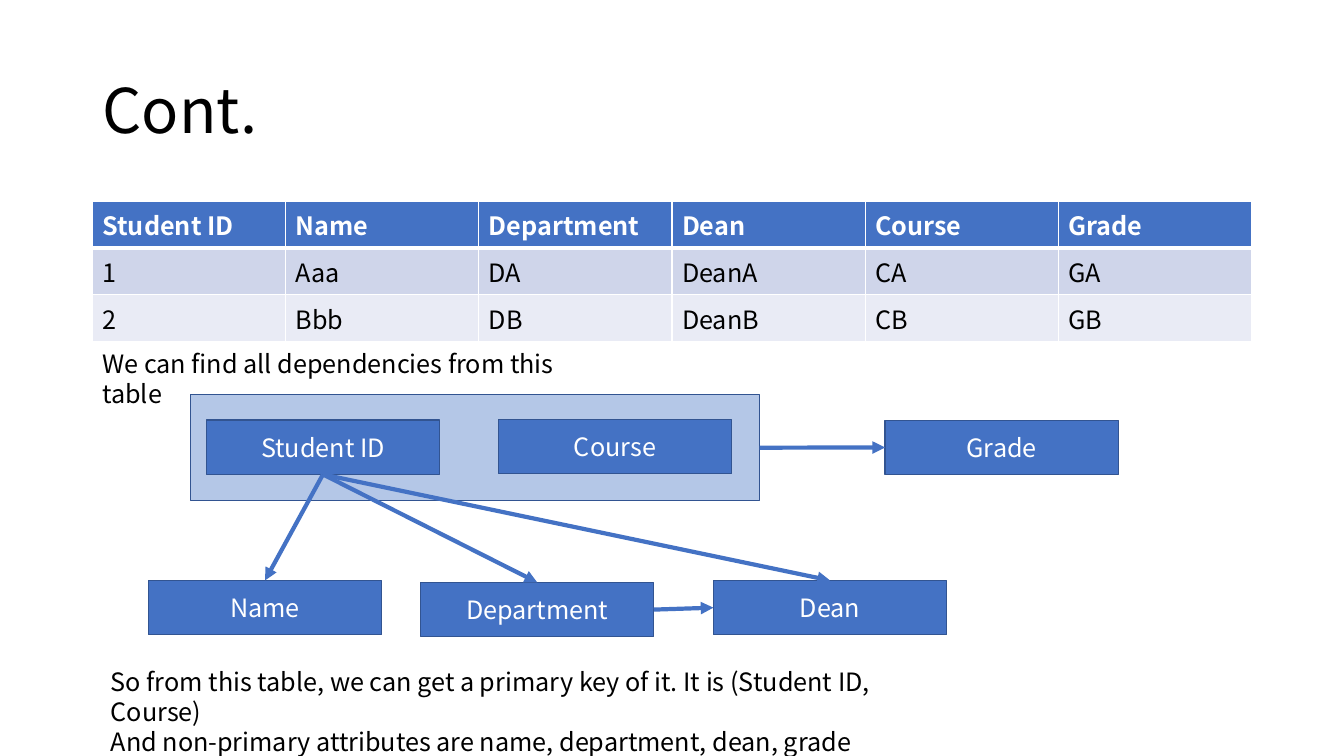
"""Builds a slide on the functional dependencies found in a student table."""
import pptx
import pptx.util
import pptx.dml.color
import pptx.enum.shapes
import pptx.enum.text
import pptx.oxml

Pt = pptx.util.Pt
FONT = "Noto Sans CJK SC"
BLUE, OUTLINE, WHITE, BLACK = "4472C4", "325491", "FFFFFF", "000000"
NAMESPACE = 'xmlns:a="http://schemas.openxmlformats.org/drawingml/2006/main"'


def color(value):
    return pptx.dml.color.RGBColor.from_string(value)


def add_run(paragraph, text, ink, size=18, bold=False):
    run = paragraph.add_run()
    run.text = text
    run.font.name = FONT
    run.font.size = Pt(size)
    run.font.bold = bold
    run.font.color.rgb = color(ink)


prs = pptx.Presentation()
prs.slide_width, prs.slide_height = Pt(960), Pt(540)
slide = prs.slides.add_slide(prs.slide_layouts[5])

title = slide.shapes.title
title.left, title.top, title.width, title.height = Pt(66), Pt(28.75), Pt(828), Pt(104.4)
title.text_frame.vertical_anchor = pptx.enum.text.MSO_ANCHOR.MIDDLE
heading = title.text_frame.paragraphs[0]
heading.alignment = pptx.enum.text.PP_ALIGN.LEFT
heading.line_spacing = 0.9
add_run(heading, "Cont.", BLACK, 44)

records = [
    ["Student ID", "Name", "Department", "Dean", "Course", "Grade"],
    ["1", "Aaa", "DA", "DeanA", "CA", "GA"],
    ["2", "Bbb", "DB", "DeanB", "CB", "GB"],
]
row_fills = [BLUE, "CFD5EA", "E9EBF5"]
students = slide.shapes.add_table(3, 6, Pt(66), Pt(144), Pt(828), Pt(87.6)).table
for row, record in enumerate(records):
    students.rows[row].height = Pt(29.2)
    for column, value in enumerate(record):
        cell = students.cell(row, column)
        header = row == 0
        add_run(cell.text_frame.paragraphs[0], value, WHITE if header else BLACK, bold=header)
        borders = {"lnL": 1, "lnR": 1, "lnT": 3 if row == 1 else 1, "lnB": 3 if header else 1}
        for edge, width in borders.items():
            cell._tc.get_or_add_tcPr().append(pptx.oxml.parse_xml(
                f'<a:{edge} {NAMESPACE} w="{Pt(width)}"><a:solidFill>'
                f'<a:srgbClr val="{WHITE}"/></a:solidFill></a:{edge}>'))
        cell.fill.solid()
        cell.fill.fore_color.rgb = color(row_fills[row])

attributes = [
    ("", 136, 282, 406.6, 75.6, "B4C7E7"),
    ("Student ID", 147.4, 300, 166.6, 38.9, BLUE),
    ("Course", 356, 299.6, 166.6, 38.9, BLUE),
    ("Department", 300.4, 416, 166.6, 38.9, BLUE),
    ("Name", 106, 414.6, 166.6, 38.9, BLUE),
    ("Dean", 509.6, 414.6, 166.6, 38.9, BLUE),
    ("Grade", 632.2, 300.2, 166.6, 38.9, BLUE),
]
boxes = {}
for label, left, top, width, height, fill in attributes:
    box = slide.shapes.add_shape(pptx.enum.shapes.MSO_SHAPE.RECTANGLE,
                                 Pt(left), Pt(top), Pt(width), Pt(height))
    box.shadow.inherit = False
    box.fill.solid()
    box.fill.fore_color.rgb = color(fill)
    box.line.color.rgb = color(OUTLINE)
    box.line.width = Pt(1)
    if label:
        box.text_frame.vertical_anchor = pptx.enum.text.MSO_ANCHOR.MIDDLE
        name = box.text_frame.paragraphs[0]
        name.alignment = pptx.enum.text.PP_ALIGN.CENTER
        add_run(name, label, WHITE)
    boxes[label] = box

TOP, LEFT, BOTTOM, RIGHT = range(4)
dependencies = [
    ("", RIGHT, "Grade", LEFT),
    ("Student ID", BOTTOM, "Name", TOP),
    ("Student ID", BOTTOM, "Department", TOP),
    ("Department", RIGHT, "Dean", LEFT),
    ("Student ID", BOTTOM, "Dean", TOP),
]
for source, source_side, target, target_side in dependencies:
    arrow = slide.shapes.add_connector(pptx.enum.shapes.MSO_CONNECTOR.STRAIGHT, 0, 0, 0, 0)
    arrow.begin_connect(boxes[source], source_side)
    arrow.end_connect(boxes[target], target_side)
    arrow.line.color.rgb = color(BLUE)
    arrow.line.width = Pt(3)
    arrow.line._get_or_add_ln().append(pptx.oxml.parse_xml(f'<a:tailEnd {NAMESPACE} type="triangle"/>'))
    arrow._element.spPr.append(pptx.oxml.parse_xml(f"<a:effectLst {NAMESPACE}/>"))

notes = [
    (66, 245.5, 365.8, 28.8, ["We can find all dependencies from this table"]),
    (72, 472.3, 583.9, 51.1, [
        "So from this table, we can get a primary key of it. It is (Student ID, Course)",
        "And non-primary attributes are name, department, dean, grade",
    ]),
]
for left, top, width, height, sentences in notes:
    frame = slide.shapes.add_textbox(Pt(left), Pt(top), Pt(width), Pt(height)).text_frame
    frame.word_wrap = True
    frame.auto_size = pptx.enum.text.MSO_AUTO_SIZE.SHAPE_TO_FIT_TEXT
    for index, sentence in enumerate(sentences):
        paragraph = frame.add_paragraph() if index else frame.paragraphs[0]
        paragraph.line_spacing = Pt(21.4)
        add_run(paragraph, sentence, BLACK)

prs.save("out.pptx")
